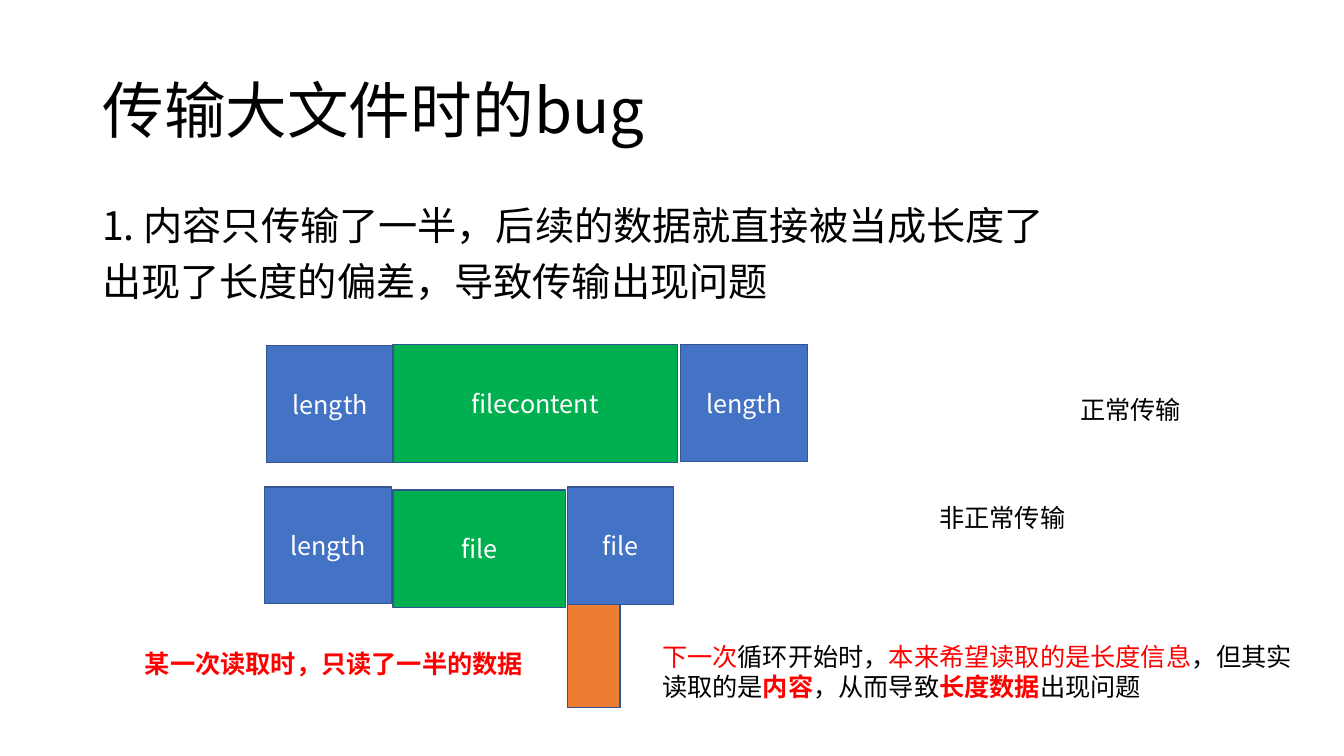
"""Build the slide on the bug in transferring large files."""
from lxml import etree
from pptx import Presentation
from pptx.dml.color import RGBColor
from pptx.enum import shapes, text
from pptx.oxml import ns
from pptx.util import Pt

FONT = "Noto Sans CJK SC"
COLORS = {
    "black": "000000", "white": "FFFFFF", "red": "FF0000", "blue": "4472C4",
    "green": "00B050", "orange": "ED7D31", "edge": "325491", "dark_edge": "2F5597",
}


def color(name):
    """Return the named colour."""
    return RGBColor.from_string(COLORS[name])


def write(paragraph, runs, size, **formats):
    """Fill a paragraph with (text, colour, bold) runs."""
    for name, value in formats.items():
        setattr(paragraph, name, value)
    for words, tint, bold in runs:
        run = paragraph.add_run()
        run.text = words
        for name, value in {"name": FONT, "size": Pt(size), "bold": bold}.items():
            setattr(run.font, name, value)
        run.font.color.rgb = color(tint)
        properties = run._r.get_or_add_rPr()
        etree.SubElement(properties, ns.qn("a:ea"), typeface=FONT)


presentation = Presentation()
presentation.slide_width, presentation.slide_height = Pt(960), Pt(540)
slide = presentation.slides.add_slide(presentation.slide_layouts[5])

title = slide.shapes.title
title_place = {"left": 66, "top": 28.75, "width": 828, "height": 104.4}
for name, value in title_place.items():
    setattr(title, name, Pt(value))
title_format = {
    "word_wrap": True,
    "auto_size": text.MSO_AUTO_SIZE.NONE,
    "vertical_anchor": text.MSO_ANCHOR.MIDDLE,
}
for name, value in title_format.items():
    setattr(title.text_frame, name, value)
write(title.text_frame.paragraphs[0], [("传输大文件时的bug", "black", False)], 44,
      alignment=text.PP_ALIGN.LEFT, line_spacing=0.9)

body = slide.shapes.add_textbox(Pt(66), Pt(143.75), Pt(828), Pt(342.6)).text_frame
body.word_wrap = True
body_lines = ["1. 内容只传输了一半，后续的数据就直接被当成长度了", "出现了长度的偏差，导致传输出现问题"]
for index, line in enumerate(body_lines):
    paragraph = body.add_paragraph() if index else body.paragraphs[0]
    write(paragraph, [(line, "black", False)], 28,
          line_spacing=0.9, space_before=Pt(10 * index))

blocks = [
    ("length", "blue", "edge", 190.4, 247, 90.8, 83.5),
    ("filecontent", "green", "edge", 280.8, 246.2, 203, 84.2),
    ("file", "green", "edge", 280.8, 350, 123.1, 84.2),
    ("file", "blue", "edge", 405.3, 347.8, 75.6, 84.2),
    ("length", "blue", "edge", 188.9, 347.8, 90.8, 83.5),
    ("", "orange", "dark_edge", 405.3, 432, 37.5, 73.5),
    ("length", "blue", "edge", 486, 246.2, 90.8, 83.5),
]
for label, fill, edge, *place in blocks:
    block = slide.shapes.add_shape(shapes.MSO_SHAPE.RECTANGLE, *map(Pt, place))
    block.shadow.inherit = False
    block.fill.solid()
    block.fill.fore_color.rgb = color(fill)
    block.line.color.rgb = color(edge)
    block.line.width = Pt(1)
    block.text_frame.vertical_anchor = text.MSO_ANCHOR.MIDDLE
    if label:
        write(block.text_frame.paragraphs[0], [(label, "white", False)], 18,
              alignment=text.PP_ALIGN.CENTER)

notes = [
    ((764.6, 278, 86.4, 29), False, [("正常传输", "black", False)]),
    ((663.8, 355, 104.4, 29), False, [("非正常传输", "black", False)]),
    ((96.5, 459.5, 305.3, 29), True, [("某一次读取时，只读了一半的数据", "red", True)]),
    ((465.8, 454.5, 473.8, 51), True, [
        ("下一次", "red", False),
        ("循环开始时，", "black", False),
        ("本来希望读取的是长度信息", "red", False),
        ("，但其实读取的是", "black", False),
        ("内容", "red", True),
        ("，从而导致", "black", False),
        ("长度数据", "red", True),
        ("出现问题", "black", False),
    ]),
]
for place, wrap, runs in notes:
    frame = slide.shapes.add_textbox(*map(Pt, place)).text_frame
    frame.word_wrap = wrap
    frame.auto_size = text.MSO_AUTO_SIZE.SHAPE_TO_FIT_TEXT
    write(frame.paragraphs[0], runs, 18)

presentation.save("out.pptx")
